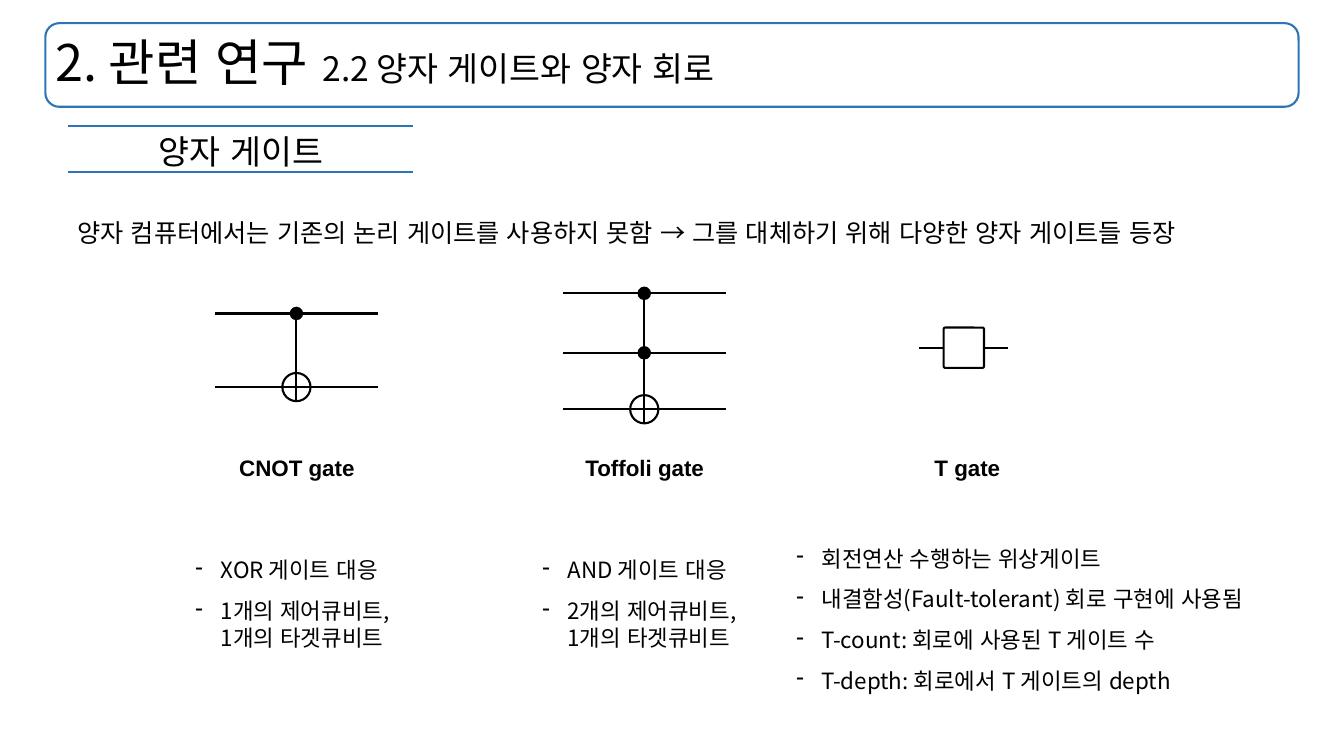
from lxml import etree
from pptx import Presentation
from pptx.dml.color import RGBColor
from pptx.enum.lang import MSO_LANGUAGE_ID
from pptx.enum.shapes import MSO_CONNECTOR, MSO_SHAPE
from pptx.enum.text import MSO_ANCHOR, PP_ALIGN
from pptx.oxml.ns import qn
from pptx.util import Inches, Pt

BLACK = RGBColor(0, 0, 0)
WHITE = RGBColor(0xFF, 0xFF, 0xFF)
BLUE = RGBColor(0x2E, 0x75, 0xB6)
KOREAN_FONT = "Noto Sans CJK KR"
LATIN_FONT = "Arial"
KOREAN = MSO_LANGUAGE_ID.KOREAN
STRAIGHT = MSO_CONNECTOR.STRAIGHT
OVAL = MSO_SHAPE.OVAL
ROUNDED = MSO_SHAPE.ROUNDED_RECTANGLE
TOP, MIDDLE = MSO_ANCHOR.TOP, MSO_ANCHOR.MIDDLE
LEFT, CENTER = PP_ALIGN.LEFT, PP_ALIGN.CENTER


def add_line(shapes, x1, y1, x2, y2, color=BLACK):
    c = shapes.add_connector(STRAIGHT, *map(Inches, (x1, y1, x2, y2)))
    c.line.color.rgb = color
    c.line.width = Pt(1.5)
    etree.SubElement(c._element.spPr, qn("a:effectLst"))
    return c


def add_shape(shapes, kind, box, fill=None, line=BLACK, width=1.5):
    sp = shapes.add_shape(kind, *map(Inches, box))
    sp.shadow.inherit = False
    if fill is None:
        sp.fill.background()
    else:
        sp.fill.solid()
        sp.fill.fore_color.rgb = fill
    sp.line.color.rgb = line
    sp.line.width = Pt(width)
    return sp


def add_circle(shapes, cx, cy, radius, **style):
    box = (cx - radius, cy - radius, 2 * radius, 2 * radius)
    return add_shape(shapes, OVAL, box, **style)


def add_run(p, text, size, name=KOREAN_FONT, bold=False):
    r = p.add_run()
    r.text = text
    font = {"size": Pt(size), "name": name, "bold": bold, "language_id": KOREAN}
    for key, value in font.items():
        setattr(r.font, key, value)
    r.font.color.rgb = BLACK
    etree.SubElement(r.font._element, qn("a:ea"), typeface=name)


def add_text(shapes, box, text, size, align=LEFT, anchor=TOP, spacing=1.0, **font):
    tf = shapes.add_textbox(*map(Inches, box)).text_frame
    tf.word_wrap = True
    tf.vertical_anchor = anchor
    p = tf.paragraphs[0]
    p.alignment = align
    p.line_spacing = spacing
    add_run(p, text, size, **font)


def add_bullets(shapes, box, items):
    tf = shapes.add_textbox(*map(Inches, box)).text_frame
    tf.word_wrap = True
    tf.vertical_anchor = MIDDLE
    for i, item in enumerate(items):
        p = tf.add_paragraph() if i else tf.paragraphs[0]
        p.space_before = Pt(10 if i else 0)
        pPr = p._p.get_or_add_pPr()
        pPr.set("marL", str(Inches(0.25)))
        pPr.set("indent", str(-Inches(0.25)))
        etree.SubElement(pPr, qn("a:buChar"), char="-")
        add_run(p, item, 16)


def add_title(shapes, number_title, subtitle):
    sp = add_shape(shapes, ROUNDED, (0.45, 0.23, 12.43, 0.83), line=BLUE)
    tf = sp.text_frame
    tf.word_wrap = True
    tf.vertical_anchor = MIDDLE
    tf.margin_left = Inches(0.06)
    p = tf.paragraphs[0]
    p.alignment = LEFT
    p.line_spacing = 0.9
    add_run(p, number_title, 36)
    add_run(p, subtitle, 24)


def add_gate_label(shapes, cx, label):
    add_text(shapes, (cx - 1.21, 4.26, 2.43, 0.62), label, 16, CENTER, MIDDLE, 1.5,
             name=LATIN_FONT, bold=True)


def add_controlled_gate(slide, label, cx, controls, target):
    shapes = slide.shapes.add_group_shape().shapes
    radius = 0.14
    add_gate_label(shapes, cx, label)
    for y in (*controls, target):
        add_line(shapes, cx - 0.81, y, cx + 0.81, y)
    add_line(shapes, cx, controls[0], cx, target + radius)
    add_circle(shapes, cx, target, radius)
    for y in controls:
        add_circle(shapes, cx, y, 0.06, fill=BLACK, width=1)


def add_t_gate(slide, label, cx, cy):
    shapes = slide.shapes.add_group_shape().shapes
    add_gate_label(shapes, cx + 0.03, label)
    sp = add_shape(shapes, ROUNDED, (cx - 0.2, cy - 0.2, 0.4, 0.4), fill=WHITE)
    sp.adjustments[0] = 0.04
    for side, direction in ((1, -1), (3, 1)):
        c = add_line(shapes, cx + direction * 0.44, cy, cx + direction * 0.2, cy)
        c.end_connect(sp, side)


def main():
    prs = Presentation()
    prs.slide_width, prs.slide_height = Inches(13.33), Inches(7.5)
    s = prs.slides.add_slide(prs.slide_layouts[6])

    add_title(s.shapes, "2. 관련 연구 ", "2.2 양자 게이트와 양자 회로")
    add_text(s.shapes, (0.61, 1.29, 3.56, 0.65), "양자 게이트", 24, CENTER, spacing=0.9)
    for y in (1.25, 1.71):
        add_line(s.shapes, 0.67, y, 4.1, y, BLUE)
    add_text(s.shapes, (0.67, 1.81, 12.12, 0.83),
             "양자 컴퓨터에서는 기존의 논리 게이트를 사용하지 못함 → "
             "그를 대체하기 위해 다양한 양자 게이트들 등장", 18, spacing=2.0)

    add_controlled_gate(s, "CNOT gate", 2.94, [3.11], 3.84)
    add_controlled_gate(s, "Toffoli gate", 6.39, [2.91, 3.5], 4.06)
    add_t_gate(s, "T gate", 9.56, 3.45)

    add_bullets(s.shapes, (1.84, 5.17, 2.22, 1.64),
                ["XOR 게이트 대응", "1개의 제어큐비트, 1개의 타겟큐비트"])
    add_bullets(s.shapes, (5.28, 5.17, 2.22, 1.64),
                ["AND 게이트 대응", "2개의 제어큐비트, 1개의 타겟큐비트"])
    add_bullets(s.shapes, (7.8, 5.03, 4.86, 2.23),
                ["회전연산 수행하는 위상게이트",
                 "내결함성(Fault-tolerant) 회로 구현에 사용됨",
                 "T-count: 회로에 사용된 T 게이트 수",
                 "T-depth: 회로에서 T 게이트의 depth"])
    prs.save("out.pptx")


if __name__ == "__main__":
    main()
